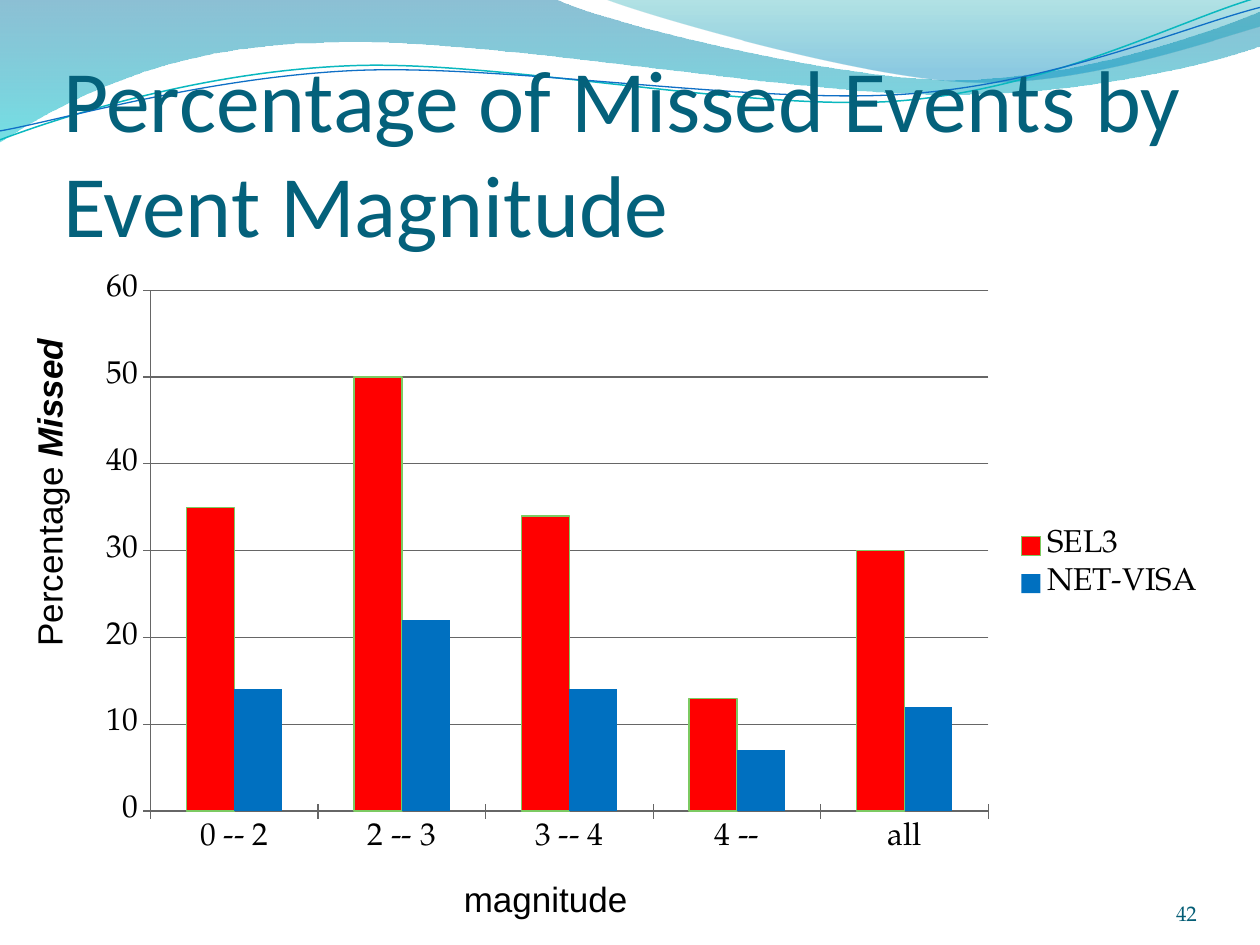
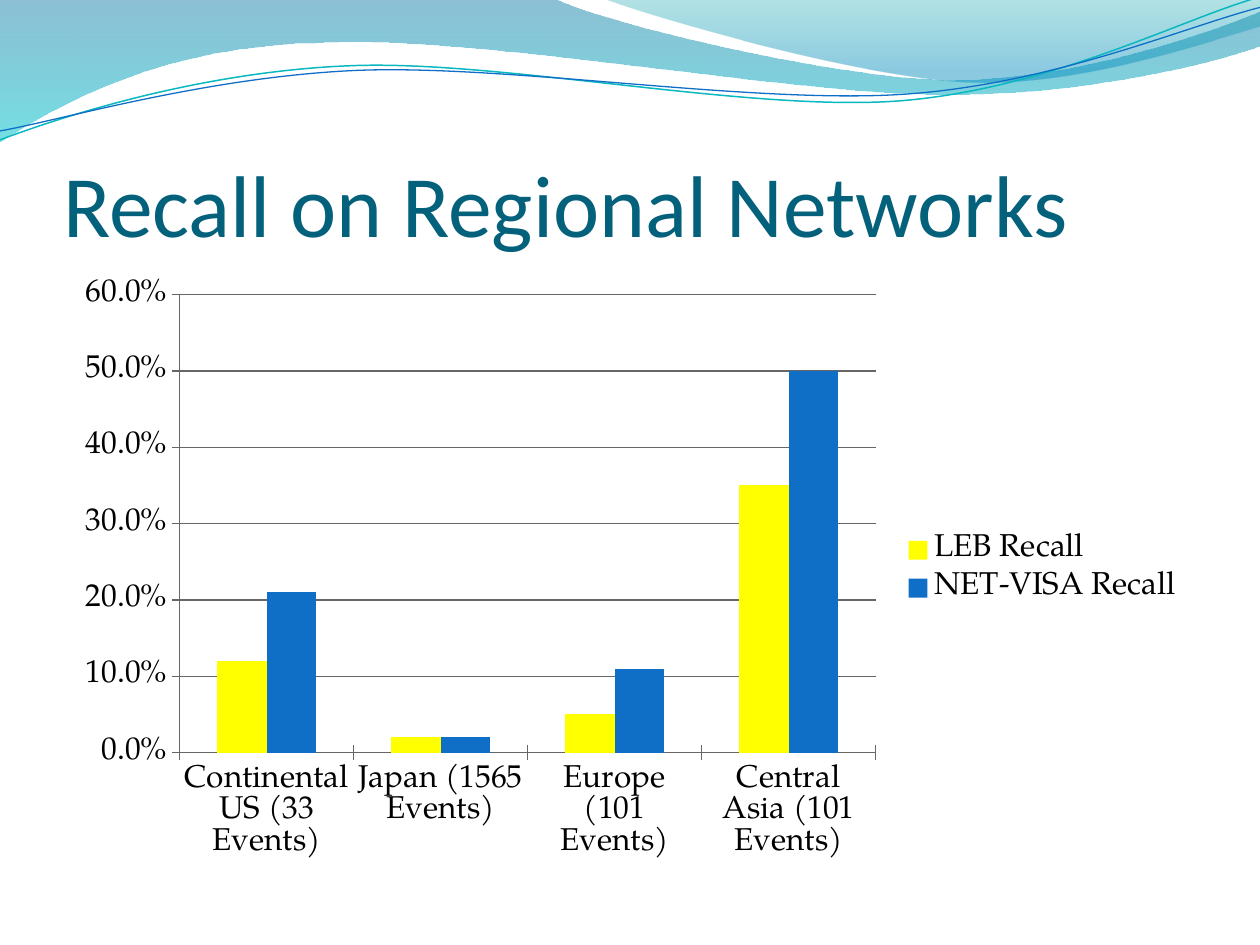
from dataclasses import dataclass
from typing import Optional

import pptx
import pptx.chart.data
import pptx.dml.color
import pptx.enum.chart
import pptx.enum.text
import pptx.oxml
import pptx.oxml.ns
import pptx.util
from pptx.util import Cm

TITLE_FONT, BODY_FONT, LABEL_FONT = "Calibri", "TeX Gyre Pagella", "Arial"
TITLE_COLOUR, NUMBER_COLOUR, BLACK, AXIS_COLOUR = "04617B", "045D75", "000000", "666666"
ANCHOR = pptx.enum.text.MSO_ANCHOR
ALIGN = pptx.enum.text.PP_ALIGN
AUTO_SIZE = pptx.enum.text.MSO_AUTO_SIZE


@dataclass
class Wave:
    """Outline in cm: a step of 2 numbers is a line, one of 6 a Bezier curve."""
    start: tuple
    steps: list
    stops: tuple = ()  # (position, colour, opacity in percent)
    line: str = ""
    width: float = 0
    rotation: float = 0


@dataclass
class Series:
    name: str
    values: tuple
    colour: str
    outline: str = ""


@dataclass
class ChartSlide:
    title: str
    left: float
    top: float
    categories: tuple
    series: tuple
    number_format: str
    axis_max: float
    axis_step: float


WAVES = [
    Wave((0, -0.03), [
        (11.18, -0.03),
        (12.09, 0.43, 16.87, 1.6, 19.25, 1.6),
        (21.67, 1.6, 24.33, 0.66, 25.4, 0.23),
        (25.43, 0.91),
        (24.97, 1.12, 22.1, 1.93, 18.95, 1.9),
        (15.8, 1.9, 9.7, 0.71, 6.53, 0.86),
        (3.28, 0.89, 1.17, 2.11, -0.03, 2.87),
        (0, -0.03),
    ], stops=((0, "0074A1", 45), (1, "00C6CF", 55))),
    Wave((12.17, -0.03), [
        (12.93, 0.28, 17.32, 1.57, 19.53, 1.65),
        (21.74, 1.75, 24.41, 0.81, 25.4, 0.53),
        (25.4, 0),
        (12.17, -0.03),
    ], stops=((0, "00A1A9", 30), (0.8, "008BBF", 45))),
    Wave((-0.05, 2.22), [
        (1.19, 1.82, 4.02, 1.04, 7.05, 1.06),
        (10.05, 1.07, 15.02, 2.37, 18.08, 2.29),
        (21.13, 2.2, 23.86, 0.91, 25.41, 0.55),
    ], line="0AB8BF", width=0.85, rotation=357.3),
    Wave((-0.04, 2.04), [
        (1.16, 1.89, 4.17, 1.15, 7.2, 1.16),
        (10.25, 1.18, 15.13, 2.22, 18.19, 2.16),
        (21.22, 2.1, 23.93, 1.06, 25.45, 0.75),
    ], line="0F6FC6", width=0.75, rotation=357.3),
]

MISSED_EVENTS = ChartSlide(
    "Percentage of Missed Events by Event Magnitude", 1.69, 5.29,
    ("0 -- 2", "2 -- 3", "3 -- 4", "4 --", "all"),
    (Series("SEL3", (35, 50, 34, 13, 30), "FF0000", "7CCA62"),
     Series("NET-VISA", (14, 22, 14, 7, 12), "0070C0")),
    "General", 60, 10)
REGIONAL_RECALL = ChartSlide(
    "Recall on Regional Networks", 1.27, 5.38,
    ("Continental US (33 Events)", "Japan (1565 Events)",
     "Europe (101 Events)", "Central Asia (101 Events)"),
    (Series("LEB Recall", (0.12, 0.02, 0.05, 0.35), "FFFF00"),
     Series("NET-VISA Recall", (0.21, 0.02, 0.11, 0.5), "0F6FC6")),
    "0.0%", 0.6, 0.1)


def rgb(colour: str) -> pptx.dml.color.RGBColor:
    return pptx.dml.color.RGBColor.from_string(colour)


def write(frame, text: str, *, size: float, font: str, colour: str = BLACK,
          bold: bool = False, italic: bool = False, align=ALIGN.LEFT) -> None:
    """Add a formatted run to the first paragraph."""
    paragraph = frame.paragraphs[0]
    paragraph.alignment = align
    run = paragraph.add_run()
    run.text = text
    run.font.size = pptx.util.Pt(size)
    run.font.name = font
    run.font.color.rgb = rgb(colour)
    run.font.bold, run.font.italic = bold, italic


def set_margins(frame, top: float = 0) -> None:
    frame.margin_left = frame.margin_right = frame.margin_bottom = Cm(0)
    frame.margin_top = Cm(top)


def place(shape, left: float, top: float, width: float, height: float) -> None:
    shape.left, shape.top = Cm(left), Cm(top)
    shape.width, shape.height = Cm(width), Cm(height)


def bend_curves(shape, steps: list) -> None:
    """Join the three line points of each curve step into one Bezier segment."""
    segments = iter(shape.element.xpath(".//a:lnTo"))
    for step in steps:
        first = next(segments)
        if len(step) == 6:
            first.tag = pptx.oxml.ns.qn("a:cubicBezTo")
            for _ in range(2):
                segment = next(segments)
                first.append(segment[0])
                segment.getparent().remove(segment)


def fill_gradient(shape, stops: tuple) -> None:
    shape.fill.gradient()
    shape.fill.gradient_angle = 270
    for stop, (position, colour, _) in zip(shape.fill.gradient_stops, stops):
        stop.position = position
        stop.color.rgb = rgb(colour)
    colours = shape.element.xpath(".//a:srgbClr")
    for element, (_, _, opacity) in zip(colours, stops):
        element.append(pptx.oxml.parse_xml(
            f'<a:alpha {pptx.oxml.ns.nsdecls("a")} val="{opacity * 1000}"/>'))


def draw_wave(slide, wave: Wave):
    builder = slide.shapes.build_freeform(*(Cm(v) for v in wave.start))
    points = [(Cm(step[i]), Cm(step[i + 1]))
              for step in wave.steps for i in range(0, len(step), 2)]
    builder.add_line_segments(points, close=bool(wave.stops))
    shape = builder.convert_to_shape()
    bend_curves(shape, wave.steps)
    shape.rotation = wave.rotation
    shape.shadow.inherit = False
    if wave.stops:
        fill_gradient(shape, wave.stops)
        shape.line.fill.background()
    else:
        shape.fill.background()
        shape.line.color.rgb = rgb(wave.line)
        shape.line.width = pptx.util.Pt(wave.width)
    return shape


def add_waves_to_layout(slide) -> None:
    """Draw the waves and move them behind the layout's placeholders."""
    layout_tree = slide.slide_layout.shapes.element
    for index, wave in enumerate(WAVES):
        element = draw_wave(slide, wave).element
        element.xpath("./p:nvSpPr/p:cNvPr")[0].set("id", str(100 + index))
        layout_tree.insert(2 + index, element)


def add_title(slide, text: str) -> None:
    title = slide.shapes.title
    place(title, 1.27, 1.96, 22.86, 3.18)
    frame = title.text_frame
    frame.word_wrap = True
    frame.auto_size = AUTO_SIZE.NONE
    frame.vertical_anchor = ANCHOR.BOTTOM
    set_margins(frame, top=0.13)
    write(frame, text, size=50, font=TITLE_FONT, colour=TITLE_COLOUR)


def add_column_chart(slide, content: ChartSlide) -> None:
    data = pptx.chart.data.CategoryChartData(number_format=content.number_format)
    data.categories = content.categories
    for series in content.series:
        data.add_series(series.name, series.values)
    chart = slide.shapes.add_chart(
        pptx.enum.chart.XL_CHART_TYPE.COLUMN_CLUSTERED,
        Cm(content.left), Cm(content.top), Cm(22.86), Cm(12.19), data).chart
    chart.has_title = False
    chart.font.size = pptx.util.Pt(18)
    chart.font.name = BODY_FONT
    chart.font.color.rgb = rgb(BLACK)
    chart.has_legend = True
    chart.legend.position = pptx.enum.chart.XL_LEGEND_POSITION.RIGHT
    chart.legend.include_in_layout = False

    values = chart.value_axis
    values.minimum_scale, values.maximum_scale = 0, content.axis_max
    values.major_unit = content.axis_step
    values.has_major_gridlines = True
    values.tick_labels.number_format = content.number_format
    values.tick_labels.number_format_is_linked = False
    for axis in (values, chart.category_axis):
        axis.major_tick_mark = pptx.enum.chart.XL_TICK_MARK.CROSS
    for part in (values, chart.category_axis, values.major_gridlines):
        part.format.line.color.rgb = rgb(AXIS_COLOUR)
        part.format.line.width = pptx.util.Pt(0.75)

    plot = chart.plots[0]
    plot.gap_width, plot.overlap, plot.vary_by_categories = 150, 0, False
    for bars, series in zip(plot.series, content.series):
        bars.invert_if_negative = False
        bars.format.fill.solid()
        bars.format.fill.fore_color.rgb = rgb(series.colour)
        if series.outline:
            bars.format.line.color.rgb = rgb(series.outline)
            bars.format.line.width = pptx.util.Pt(0.75)
        else:
            bars.format.line.fill.background()


def add_label(slide, left: float, top: float, width: float, height: float,
              direction: Optional[str] = None):
    """Add an unwrapped text box and return its text frame."""
    box = slide.shapes.add_textbox(Cm(left), Cm(top), Cm(width), Cm(height))
    box.text_frame.word_wrap = False
    box.text_frame.auto_size = AUTO_SIZE.SHAPE_TO_FIT_TEXT
    if direction:
        box.element.xpath(".//a:bodyPr")[0].set("vert", direction)
    return box.text_frame


def add_slide_number(slide, number: str) -> None:
    box = slide.shapes.add_textbox(Cm(22.02), Cm(17.65), Cm(2.11), Cm(1.02))
    frame = box.text_frame
    frame.word_wrap = True
    frame.vertical_anchor = ANCHOR.BOTTOM
    set_margins(frame)
    write(frame, number, size=12, font=BODY_FONT, colour=NUMBER_COLOUR, align=ALIGN.RIGHT)


def add_chart_slide(deck, content: ChartSlide):
    slide = deck.slides.add_slide(deck.slide_layouts.get_by_name("Title Only"))
    add_title(slide, content.title)
    add_column_chart(slide, content)
    return slide


def main() -> None:
    deck = pptx.Presentation()
    deck.slide_width, deck.slide_height = Cm(25.4), Cm(19.05)

    missed = add_chart_slide(deck, MISSED_EVENTS)
    add_waves_to_layout(missed)
    magnitude = add_label(missed, 9.1, 17.56, 3.84, 1.12)
    write(magnitude, "magnitude", size=20, font=LABEL_FONT)
    percentage = add_label(missed, 0.43, 6.79, 1.37, 6.5, direction="vert270")
    write(percentage, "Percentage ", size=20, font=LABEL_FONT)
    write(percentage, "Missed", size=20, font=LABEL_FONT, bold=True, italic=True)
    add_slide_number(missed, "42")

    add_chart_slide(deck, REGIONAL_RECALL)
    deck.save("out.pptx")


if __name__ == "__main__":
    main()
